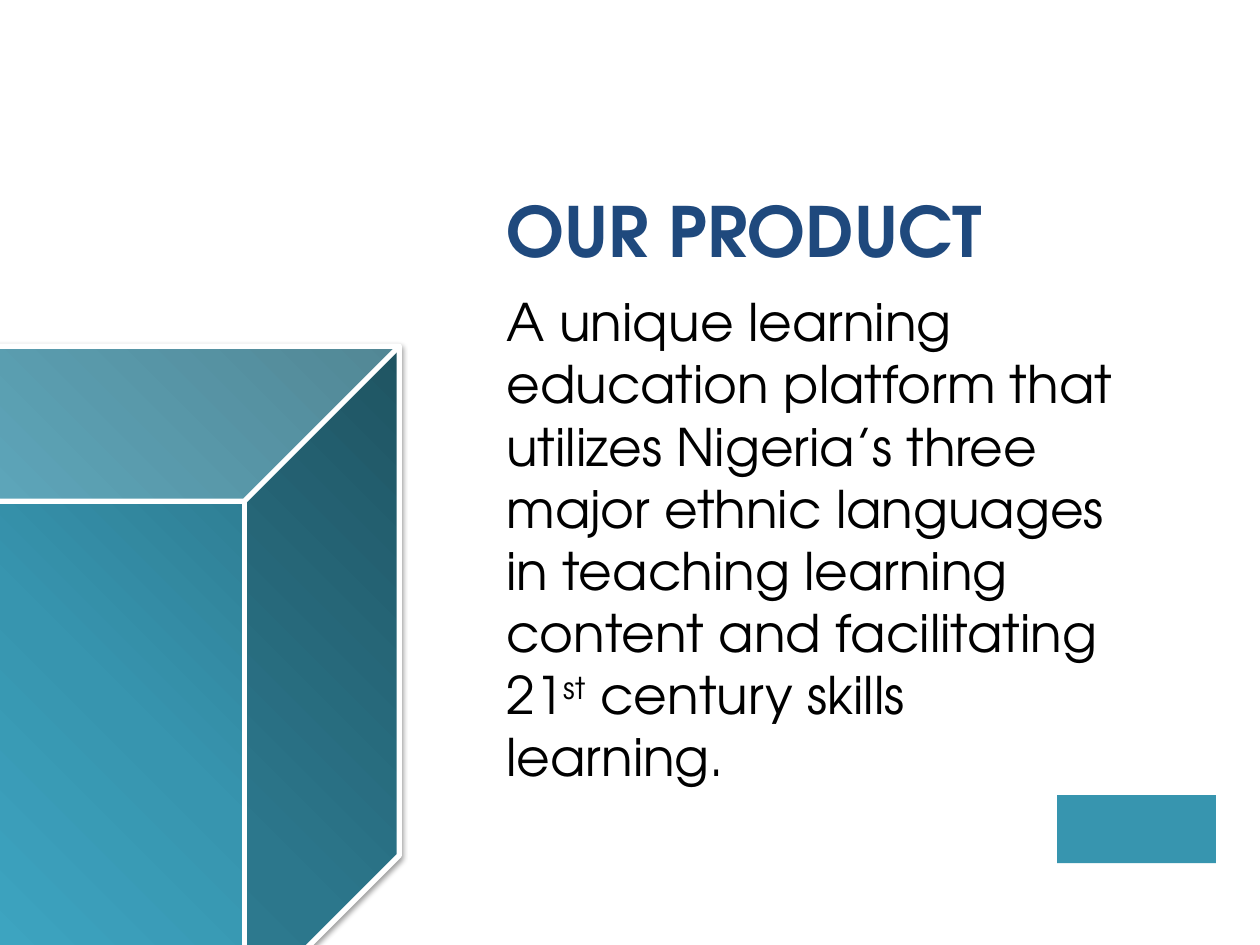
from dataclasses import dataclass

from lxml import etree
from pptx import Presentation
from pptx.dml.color import RGBColor
from pptx.enum.shapes import MSO_SHAPE
from pptx.enum.text import MSO_ANCHOR
from pptx.oxml import parse_xml
from pptx.oxml.ns import nsdecls, qn
from pptx.util import Cm, Pt

TOP, MIDDLE = MSO_ANCHOR.TOP, MSO_ANCHOR.MIDDLE
CUBE, RECTANGLE = MSO_SHAPE.CUBE, MSO_SHAPE.RECTANGLE
NAVY = RGBColor(0x1F, 0x49, 0x7D)
BLACK = RGBColor(0x00, 0x00, 0x00)
WHITE = RGBColor(0xFF, 0xFF, 0xFF)
DARK_TEAL = RGBColor(0x27, 0x69, 0x7B)
TEAL = RGBColor(0x37, 0x95, 0xAF)
LIGHT_TEAL = RGBColor(0x42, 0xB1, 0xCF)
GRADIENT = ((0, DARK_TEAL), (50, TEAL), (100, LIGHT_TEAL))
SANS = "TeX Gyre Adventor"


@dataclass(frozen=True)
class Box:
    left: float
    top: float
    width: float
    height: float

    def lengths(self):
        return [Cm(value) for value in (self.left, self.top, self.width, self.height)]


@dataclass(frozen=True)
class TextStyle:
    size: float
    color: RGBColor
    bold: bool
    anchor: int


@dataclass(frozen=True)
class TextBlock:
    box: Box
    style: TextStyle
    runs: tuple


HEADING = TextStyle(39.6, NAVY, True, MIDDLE)
BODY = TextStyle(29.6, BLACK, False, TOP)

TEXT_BLOCKS = (
    TextBlock(Box(9.96, 3.71, 11.63, 1.85), HEADING, (("OUR PRODUCT", 0),)),
    TextBlock(Box(9.96, 5.72, 13.13, 9.73), BODY, (
        ("A unique learning education platform that utilizes Nigeria’s three major "
         "ethnic languages in teaching learning content and facilitating 21", 0),
        ("st", 30),
        (" century skills learning.", 0),
    )),
)
PLAIN_BLOCK = Box(21.31, 16.03, 3.2, 1.37)
PRODUCT_CUBE = Box(-4.45, 6.98, 12.5, 13.39)


def add_text(slide, block: TextBlock) -> None:
    style = block.style
    frame = slide.shapes.add_textbox(*block.box.lengths()).text_frame
    frame.word_wrap = True
    frame.vertical_anchor = style.anchor
    paragraph = frame.paragraphs[0]
    font_values = {"name": SANS, "size": Pt(style.size), "bold": style.bold}
    for text, baseline in block.runs:
        run = paragraph.add_run()
        run.text = text
        for attribute, value in font_values.items():
            setattr(run.font, attribute, value)
        run.font.color.rgb = style.color
        if baseline:
            run._r.get_or_add_rPr().set("baseline", str(baseline * 1000))


def set_gradient(shape, angle: int) -> None:
    shape.fill.gradient()
    shape.fill.gradient_angle = 360 - angle
    stops = shape._element.spPr.find(qn("a:gradFill")).find(qn("a:gsLst"))
    for stop in list(stops):
        stops.remove(stop)
    for position, color in GRADIENT:
        stop = etree.SubElement(stops, qn("a:gs"), pos=str(position * 1000))
        etree.SubElement(stop, qn("a:srgbClr"), val=str(color))


def add_shadow(shape) -> None:
    effects = shape._element.spPr.find(qn("a:effectLst"))
    effects.append(parse_xml(
        f'<a:outerShdw {nsdecls("a")} blurRad="{Pt(3.1)}" dist="{Pt(1.6)}" '
        f'dir="5400000" rotWithShape="0"><a:srgbClr val="{BLACK}">'
        '<a:alpha val="38000"/></a:srgbClr></a:outerShdw>'
    ))


def add_plain_block(slide, box: Box) -> None:
    shape = slide.shapes.add_shape(RECTANGLE, *box.lengths())
    shape.fill.solid()
    shape.fill.fore_color.rgb = TEAL
    shape.line.fill.background()
    shape.shadow.inherit = False


def add_cube(slide, box: Box) -> None:
    shape = slide.shapes.add_shape(CUBE, *box.lengths())
    set_gradient(shape, 135)
    shape.line.color.rgb = WHITE
    shape.line.width = Pt(3)
    shape.shadow.inherit = False
    add_shadow(shape)


def main() -> None:
    presentation = Presentation()
    presentation.slide_width, presentation.slide_height = Cm(25.4), Cm(19.05)
    slide = presentation.slides.add_slide(presentation.slide_layouts[6])
    for block in TEXT_BLOCKS:
        add_text(slide, block)
    add_plain_block(slide, PLAIN_BLOCK)
    add_cube(slide, PRODUCT_CUBE)
    presentation.save("out.pptx")


if __name__ == "__main__":
    main()
